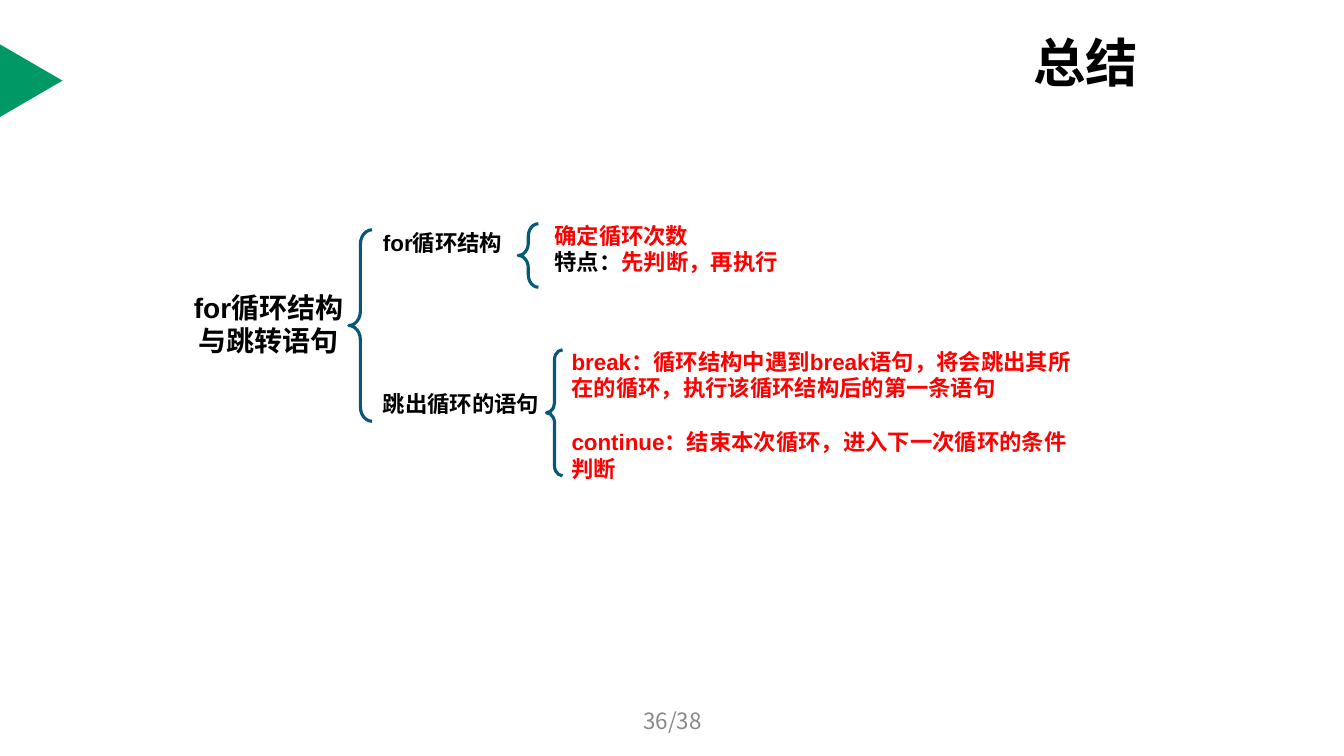
from pptx import Presentation
from pptx import util as u
from pptx.dml import color
from pptx.enum import shapes, text
from pptx.oxml import ns
from lxml import etree

BLACK, RED, GREEN, TEAL, GRAY = "000000", "FF0000", "009966", "08577A", "898989"
CJK_FONT = "Noto Sans CJK SC"


def rgb(value):
    return color.RGBColor.from_string(value)


def place(box):
    return [u.Inches(length) for length in box]


def format_run(run, size, ink, font="Arial", bold=True):
    run.font.size = u.Pt(size)
    run.font.name = font
    run.font.bold = bold
    run.font.color.rgb = rgb(ink)
    properties = run._r.get_or_add_rPr()
    properties.set("lang", "zh-CN")
    east_asian = etree.Element(ns.qn("a:ea"), typeface=CJK_FONT)
    properties.find(ns.qn("a:latin")).addnext(east_asian)


def add_text(slide, box, paragraphs, size=16, align=text.PP_ALIGN.LEFT, gap=0, **style):
    frame = slide.shapes.add_textbox(*place(box)).text_frame
    frame.word_wrap = True
    frame.text = "\n".join("" for _ in paragraphs)
    for index, (paragraph, parts) in enumerate(zip(frame.paragraphs, paragraphs)):
        paragraph.alignment = align
        paragraph.space_before = u.Pt(gap if index else 0)
        for words, ink in parts:
            run = paragraph.add_run()
            run.text = words
            format_run(run, size, ink, **style)
    return frame


def add_brace(slide, box):
    brace = slide.shapes.add_shape(shapes.MSO_SHAPE.LEFT_BRACE, *place(box))
    brace.shadow.inherit = False
    brace.adjustments[0] = 0.62
    brace.adjustments[1] = 0.5
    brace.fill.background()
    brace.line.color.rgb = rgb(TEAL)
    brace.line.width = u.Pt(2.25)


def add_header(slide, box):
    left, top, width, height = box
    marker = slide.shapes.add_shape(
        shapes.MSO_SHAPE.ISOSCELES_TRIANGLE, *place((left - 0.05, top + 0.18, 0.72, 0.62)))
    marker.rotation = 90
    marker.shadow.inherit = False
    marker.fill.solid()
    marker.fill.fore_color.rgb = rgb(GREEN)
    marker.line.fill.background()

    title = slide.shapes.title
    title.left, title.top, title.width, title.height = place((left + 10.15, top, 1.32, 0.6))
    frame = title.text_frame
    frame.text = "总结"
    frame.vertical_anchor = text.MSO_ANCHOR.MIDDLE
    frame.paragraphs[0].alignment = text.PP_ALIGN.LEFT
    format_run(frame.paragraphs[0].runs[0], 37.4, BLACK, CJK_FONT)


def add_summary_tree(slide, box):
    left, top, width, height = box
    add_text(slide, (left, top + 0.68, 1.99, 0.77),
             [[("for循环结构", BLACK)], [("与跳转语句", BLACK)]],
             size=20, align=text.PP_ALIGN.CENTER)
    add_brace(slide, (left + 1.79, top + 0.13, 0.23, 1.9))

    branches = [
        ("for循环结构", 0.07, (3.47, 0.07, 0.2, 0.63), (3.73, 0, 2.52, 0.64), 0,
         [[("确定循环次数", RED)], [("特点：", BLACK), ("先判断，再执行", RED)]]),
        ("跳出循环的语句", 1.67, (3.75, 1.32, 0.16, 1.25), (3.9, 1.25, 5.21, 1.45), 19,
         [[("break：循环结构中遇到break语句，将会跳出其所在的循环，执行该循环结构后的第一条语句", RED)],
          [("continue：结束本次循环，进入下一次循环的条件判断", RED)]]),
    ]
    for label, label_top, brace, detail, gap, paragraphs in branches:
        add_text(slide, (left + 2.03, top + label_top, 1.85, 0.37), [[(label, BLACK)]])
        add_brace(slide, (left + brace[0], top + brace[1], *brace[2:]))
        add_text(slide, (left + detail[0], top + detail[1], *detail[2:]), paragraphs, gap=gap)


def add_page_number(slide, box):
    frame = add_text(slide, box, [[("36/38", GRAY)]], align=text.PP_ALIGN.CENTER,
                     font=CJK_FONT, bold=False)
    frame.vertical_anchor = text.MSO_ANCHOR.MIDDLE


presentation = Presentation()
presentation.slide_width = u.Inches(13.33)
presentation.slide_height = u.Inches(7.5)
slide = presentation.slides.add_slide(presentation.slide_layouts[5])
add_header(slide, (0, 0.31, 13.33, 0.8))
add_summary_tree(slide, (1.67, 2.15, 9.11, 2.7))
add_page_number(slide, (4.56, 6.95, 4.22, 0.4))
presentation.save("out.pptx")
